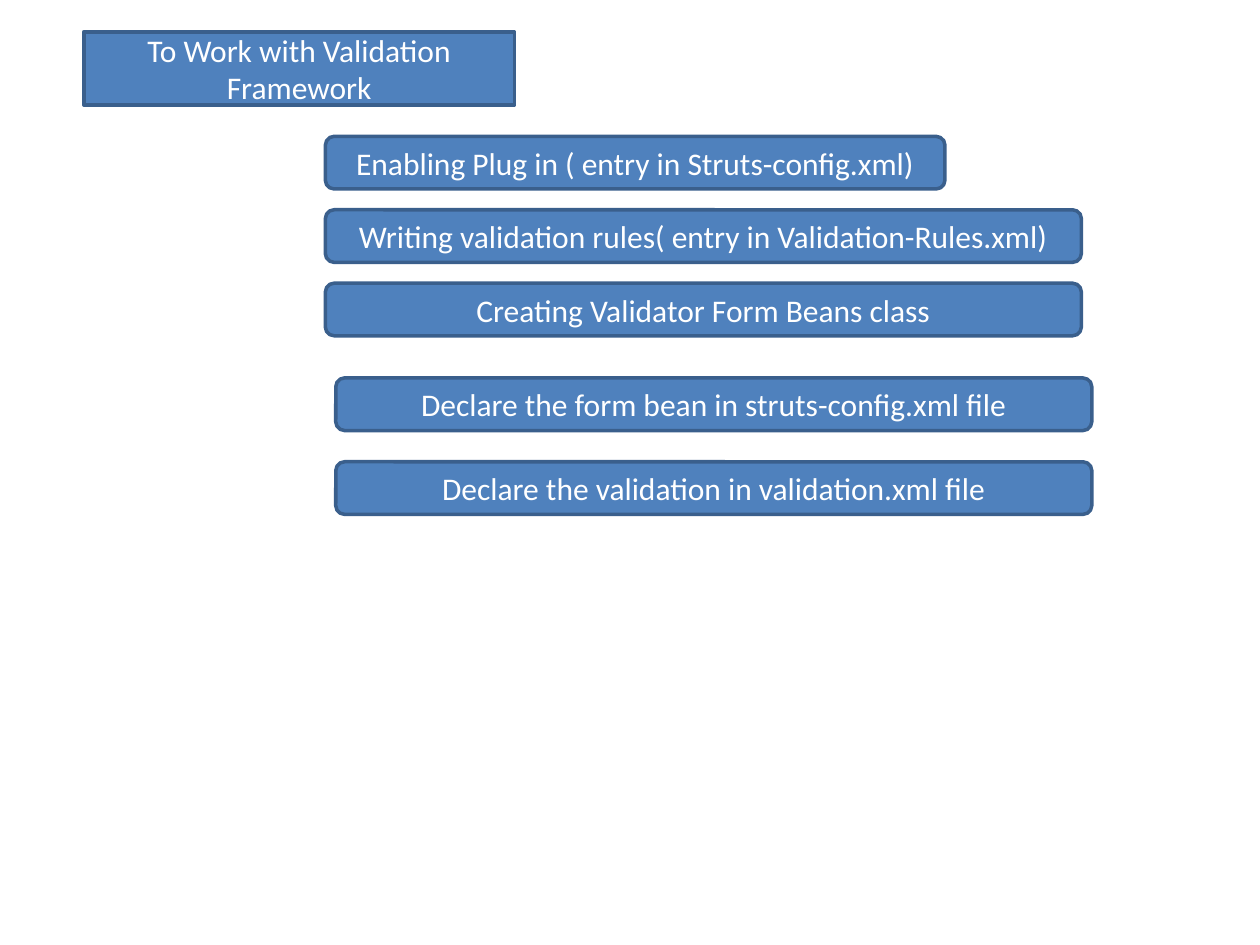
from pptx import Presentation
from pptx.dml.color import RGBColor
from pptx.enum.shapes import MSO_SHAPE as Preset
from pptx.enum.text import MSO_ANCHOR as Anchor, MSO_AUTO_SIZE as AutoSize, PP_ALIGN as Align
from pptx.util import Cm, Pt

COLORS = {"fill": "4F81BD", "border": "3A5F8C", "text": "FFFFFF"}

SETUP_STEPS = [
    ("Enabling Plug in ( entry in Struts-config.xml)", 12.49),
    ("Writing validation rules( entry in Validation-Rules.xml)", 15.24),
    ("Creating Validator Form Beans class", 15.24),
]
DECLARATION_STEPS = [
    ("Declare the form bean in struts-config.xml file", 15.24),
    ("Declare the validation in validation.xml file", 15.24),
]


def color(key):
    return RGBColor.from_string(COLORS[key])


def write_text(shape, text, size=18, font="Calibri", ink="text", align=Align.CENTER):
    frame = shape.text_frame
    frame.text = text
    frame.word_wrap = True
    frame.auto_size = AutoSize.NONE
    frame.vertical_anchor = Anchor.MIDDLE
    paragraph = frame.paragraphs[0]
    paragraph.alignment = align
    paragraph.font.name = font
    paragraph.font.size = Pt(size)
    paragraph.font.color.rgb = color(ink)


def paint(shape):
    shape.fill.solid()
    shape.fill.fore_color.rgb = color("fill")
    shape.line.color.rgb = color("border")
    shape.line.width = Pt(2)


def place_heading(slide, left, top, width, height):
    heading = slide.shapes.title
    heading.left, heading.top = Cm(left), Cm(top)
    heading.width, heading.height = Cm(width), Cm(height)
    paint(heading)
    write_text(heading, "To Work with Validation Framework")


def place_steps(slide, steps, left, top, pitch, height=1.06):
    for row, (label, width) in enumerate(steps):
        step = slide.shapes.add_shape(
            Preset.ROUNDED_RECTANGLE,
            Cm(left), Cm(top + row * pitch), Cm(width), Cm(height),
        )
        step.shadow.inherit = False
        paint(step)
        write_text(step, label)


def main():
    deck = Presentation()
    deck.slide_width, deck.slide_height = Cm(25.4), Cm(19.05)
    slide = deck.slides.add_slide(deck.slide_layouts[5])
    place_heading(slide, 1.69, 0.64, 8.68, 1.48)
    place_steps(slide, SETUP_STEPS, 6.56, 2.75, pitch=1.48)
    place_steps(slide, DECLARATION_STEPS, 6.77, 7.62, pitch=1.69)
    deck.save("out.pptx")


if __name__ == "__main__":
    main()
